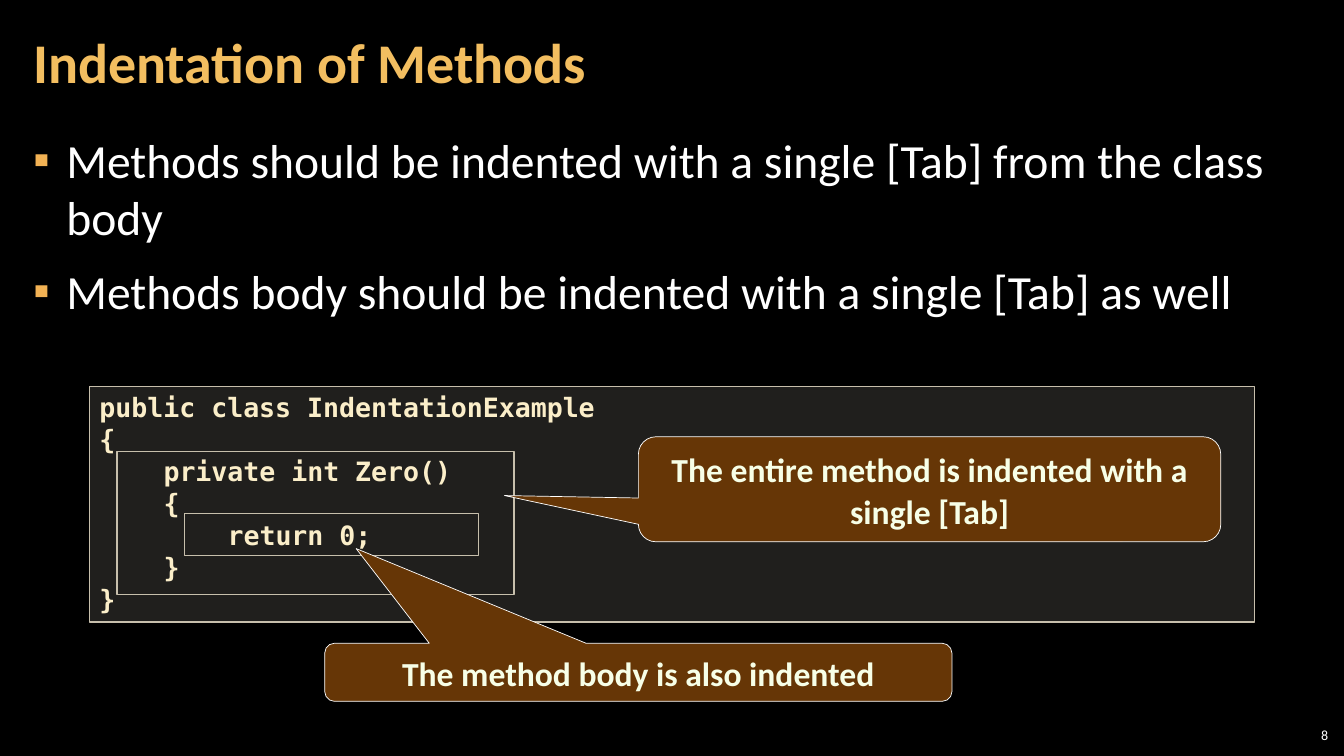
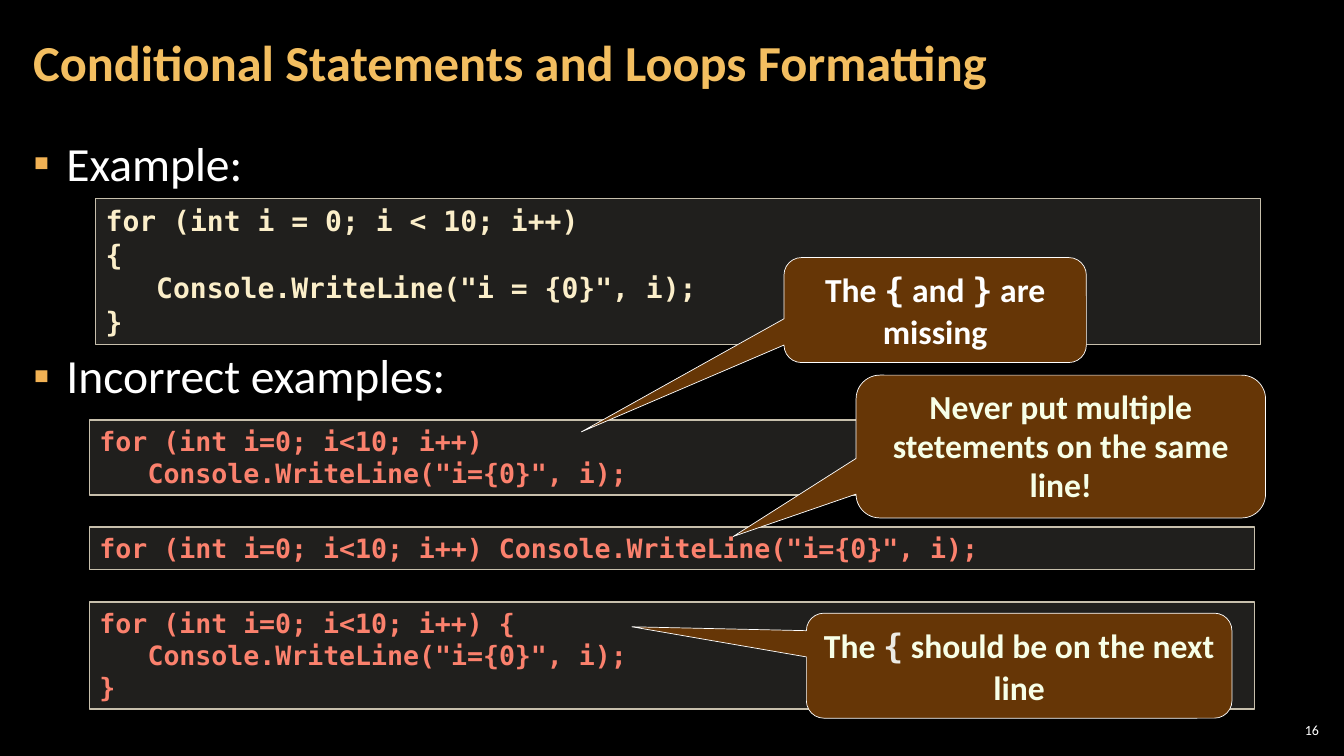
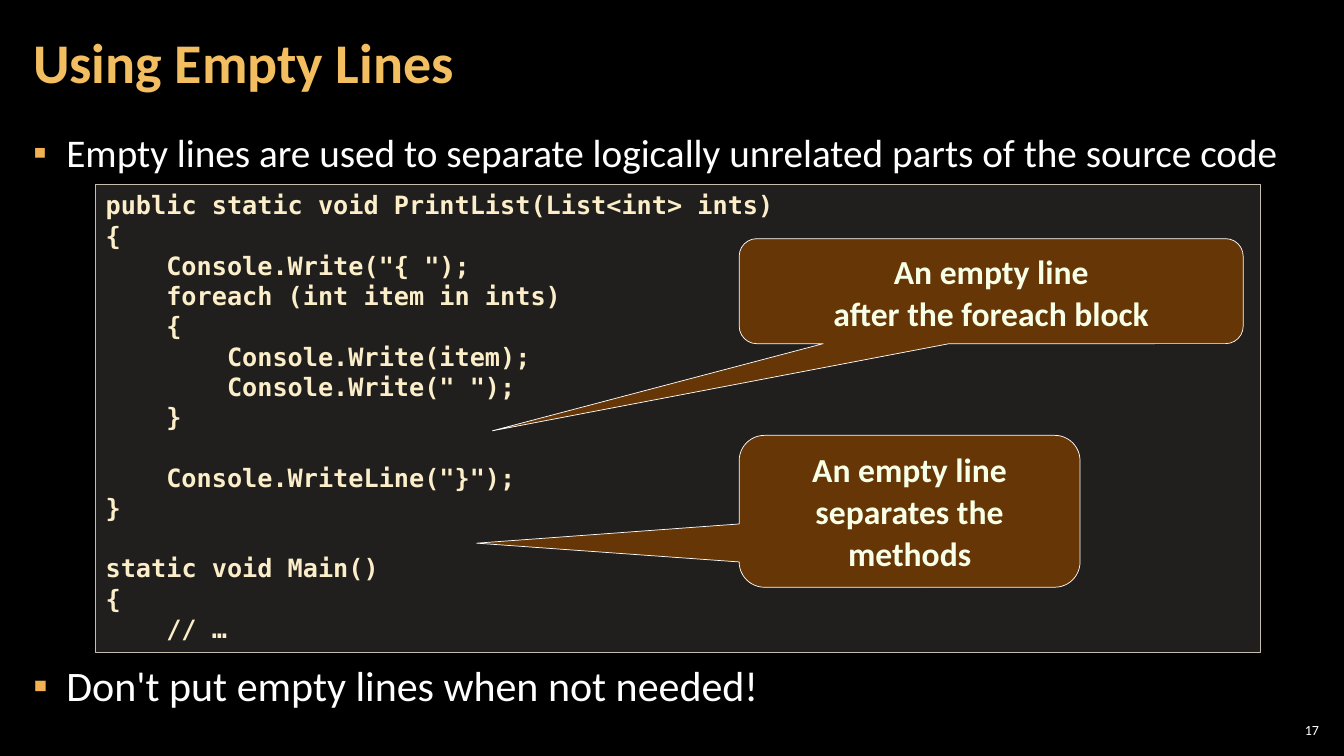
from lxml.etree import SubElement
from pptx import Presentation
from pptx.dml.color import RGBColor
from pptx.enum.shapes import MSO_SHAPE as Preset
from pptx.enum.text import MSO_ANCHOR as Anchor, MSO_AUTO_SIZE as AutoSize, PP_ALIGN as Align
from pptx.oxml.ns import qn
from pptx.util import Inches, Pt

TEXT_FONT, CODE_FONT = "Calibri", "DejaVu Sans Mono"
WHITE, GOLD, BULLET = "FFFFFF", "F3BE60", "F2B254"
CREAM, RED, IVORY, GREY = "FBEEC9", "FB816D", "F7FFE7", "ECEAE3"
PANEL, FRAME, BROWN = "D9D5C7", "C7BFAC", "663606"
color = RGBColor.from_string

deck = Presentation()
deck.slide_width, deck.slide_height = Inches(13.33), Inches(7.5)
COL, ROW = deck.slide_width / 96, deck.slide_height / 54

CODE_LEFT, CODE_WIDTH, CODE_GAP = 6.4, 83.2, 2.3
LINE_PITCH, CHAR_WIDTH = 1.2, 0.602  # shares of the code's font size


def cells(left, top, width, height):
    """Turn grid columns and rows into lengths."""
    return round(left * COL), round(top * ROW), round(width * COL), round(height * ROW)


def add_span(para, text, size, hue, font=TEXT_FONT, bold=True):
    span = para.add_run()
    span.text = text
    span.font.name, span.font.size, span.font.bold = font, Pt(size), bold
    span.font.color.rgb = color(hue)


# Each code panel: left, top, font size, colour, lines
# Each callout: place, pointer, line spacing, text colour, brace colour, spans
loop = "for (int i=0; i<10; i++)"
write = 'Console.WriteLine("i={0}", i);'
wrong_examples = [[loop, "   " + write], [f"{loop} {write}"], [loop + " {", "   " + write, "}"]]
wrong_panels = []
wrong_top = 30
for lines in wrong_examples:
    wrong_panels.append((CODE_LEFT, wrong_top, 19, RED, lines))
    wrong_top += 2.3 * len(lines) + 0.75 + CODE_GAP

pages = [
    dict(
        title="Indentation of Methods", title_size=40, number="8",
        number_place=(90.36, 51.6, 4.8, 1.8), body_spacing=None,
        bullets=[("Methods should be indented with a single [Tab] from the class body", 34, 6),
                 ("Methods body should be indented with a single [Tab] as well", 34, 6)],
        panels=[(CODE_LEFT, 27.6, 19, CREAM, [
            "public class IndentationExample", "{", "    private int Zero()", "    {",
            "        return 0;", "    }", "}"])],
        outlines=[(8.37, 32.25, 28.36, 10.2), (13.2, 36.7, 21, 3)],
        callouts=[
            ((45.6, 31.2, 41.6, 7.5), (-0.73, 0.06), 30, IVORY, IVORY,
             ["The entire method is indented with a single [Tab]"]),
            ((23.2, 45.95, 44.8, 4.15), (-0.45, -2.13), 30, IVORY, IVORY,
             ["The method body is also indented"])]),
    dict(
        title="Conditional Statements and Loops Formatting", title_size=36, number="16",
        number_place=(91.1, 51.4, 3.4, 1.5), body_spacing=1.05,
        bullets=[("Example:", 34, 6), ("Incorrect examples:", 34, 103)],
        panels=[(6.84, 14.2, 20, CREAM, [
            "for (int i = 0; i < 10; i++)", "{", '   Console.WriteLine("i = {0}", i);', "}"]),
            *wrong_panels],
        outlines=[],
        callouts=[
            ((56, 18.4, 21.6, 7.5), (-1.17, 1.16), 30, WHITE, WHITE,
             ["The ", "{", " and ", "}", " are missing"]),
            ((61.15, 26.8, 29.25, 10.2), (-0.8, 0.63), 28, IVORY, IVORY,
             ["Never put multiple stetements on the same line!"]),
            ((57.6, 43.8, 30.4, 7.5), (-0.91, -0.37), 30, IVORY, GREY,
             ["The ", "{", " should be on the next line"])]),
    dict(
        title="Using Empty Lines", title_size=40, number="17",
        number_place=(91.1, 51.4, 3.4, 1.5), body_spacing=Pt(32),
        bullets=[("Empty lines are used to separate logically unrelated parts of the source code", 28, 6),
                 ("Don't put empty lines when not needed!", 30, 344)],
        panels=[(6.84, 13.2, 18, CREAM, [
            "public static void PrintList(List<int> ints)", "{", '    Console.Write("{ ");',
            "    foreach (int item in ints)", "    {", "        Console.Write(item);",
            '        Console.Write(" ");', "    }", "", '    Console.WriteLine("}");', "}", "",
            "static void Main()", "{", "    // …"])],
        outlines=[],
        callouts=[
            ((52.8, 31.1, 24.35, 10.85), (-1.27, 0.21), 30, IVORY, IVORY,
             ["An empty line", "\n", "separates the methods"]),
            ((52.8, 17.05, 36, 7.5), (-0.99, 1.33), 30, IVORY, IVORY,
             ["An empty line", "\n", "after the foreach block"])]),
]

# Shared background and placeholder places
back = deck.slide_master.background.fill
back.solid()
back.fore_color.rgb = color("000000")
layout = deck.slide_layouts[1]
for holder, place in zip(layout.placeholders, [(1.5, 0.3, 75.4, 8.7), (1.5, 9.05, 92.95, 43.85)]):
    holder.left, holder.top, holder.width, holder.height = cells(*place)

for content in pages:
    page = deck.slides.add_slide(layout)
    title, body = page.placeholders
    number = page.shapes.add_textbox(*cells(*content["number_place"]))
    for box, anchor, side in [(title, Anchor.MIDDLE, 0.12), (body, Anchor.TOP, 0.12),
                              (number, Anchor.MIDDLE, 0.04)]:
        frame = box.text_frame
        frame.word_wrap, frame.auto_size, frame.vertical_anchor = True, AutoSize.NONE, anchor
        frame.margin_left = frame.margin_right = Inches(side)
        frame.margin_top = frame.margin_bottom = Inches(0.04)

    para = title.text_frame.paragraphs[0]
    para.alignment, para.line_spacing = Align.LEFT, 0.9
    add_span(para, content["title"], content["title_size"], GOLD)
    para = number.text_frame.paragraphs[0]
    para.alignment = Align.RIGHT
    add_span(para, content["number"], 10, WHITE, bold=False)

    for index, (text, size, before) in enumerate(content["bullets"]):
        para = body.text_frame.add_paragraph() if index else body.text_frame.paragraphs[0]
        para.space_before, para.space_after = Pt(before), Pt(6)
        para.line_spacing = content["body_spacing"]
        props = para._p.get_or_add_pPr()
        props.set("marL", str(Inches(0.33)))
        props.set("indent", str(-Inches(0.33)))
        SubElement(SubElement(props, qn("a:buClr")), qn("a:srgbClr")).set("val", BULLET)
        SubElement(props, qn("a:buChar")).set("char", "▪")
        add_span(para, text, size, WHITE, bold=False)

    for left, top, size, hue, lines in content["panels"]:
        height = 0.121 * size * len(lines) + 0.75
        panel = page.shapes.add_shape(Preset.RECTANGLE, *cells(left, top, CODE_WIDTH, height))
        panel.shadow.inherit = False
        panel.fill.solid()
        panel.fill.fore_color.rgb = color(PANEL)
        tint = panel.fill._xPr.find(qn("a:solidFill"))[0]
        SubElement(tint, qn("a:alpha")).set("val", "15000")
        panel.line.color.rgb, panel.line.width = color(FRAME), Pt(1)
        frame = panel.text_frame
        frame.word_wrap, frame.vertical_anchor = True, Anchor.TOP
        para, skipped = frame.paragraphs[0], 0
        for index, line in enumerate(lines):
            if not line:
                skipped += 1
                continue
            if index:
                para = frame.add_paragraph()
            para.alignment, para.line_spacing = Align.LEFT, Pt(size * LINE_PITCH)
            para.space_before = Pt(skipped * size * LINE_PITCH)
            code = line.lstrip()
            indent = Pt((len(line) - len(code)) * size * CHAR_WIDTH)
            para._p.get_or_add_pPr().set("marL", str(indent))
            add_span(para, code, size, hue, CODE_FONT)
            skipped = 0

    for place in content["outlines"]:
        outline = page.shapes.add_shape(Preset.RECTANGLE, *cells(*place))
        outline.shadow.inherit = False
        outline.fill.background()
        outline.line.color.rgb, outline.line.width = color(FRAME), Pt(1)

    for place, pointer, spacing, hue, brace_hue, spans in content["callouts"]:
        callout = page.shapes.add_shape(Preset.ROUNDED_RECTANGULAR_CALLOUT, *cells(*place))
        callout.shadow.inherit = False
        callout.adjustments[0], callout.adjustments[1] = pointer
        callout.fill.solid()
        callout.fill.fore_color.rgb = color(BROWN)
        callout.line.color.rgb, callout.line.width = color(WHITE), Pt(0.5)
        frame = callout.text_frame
        frame.word_wrap, frame.vertical_anchor = True, Anchor.TOP
        para = frame.paragraphs[0]
        para.alignment, para.line_spacing = Align.CENTER, Pt(spacing)
        for text in spans:
            if text == "\n":
                para.add_line_break()
            elif text in "{}":
                add_span(para, text, 24, brace_hue, CODE_FONT)
            else:
                add_span(para, text, 24, hue)

deck.save("out.pptx")
